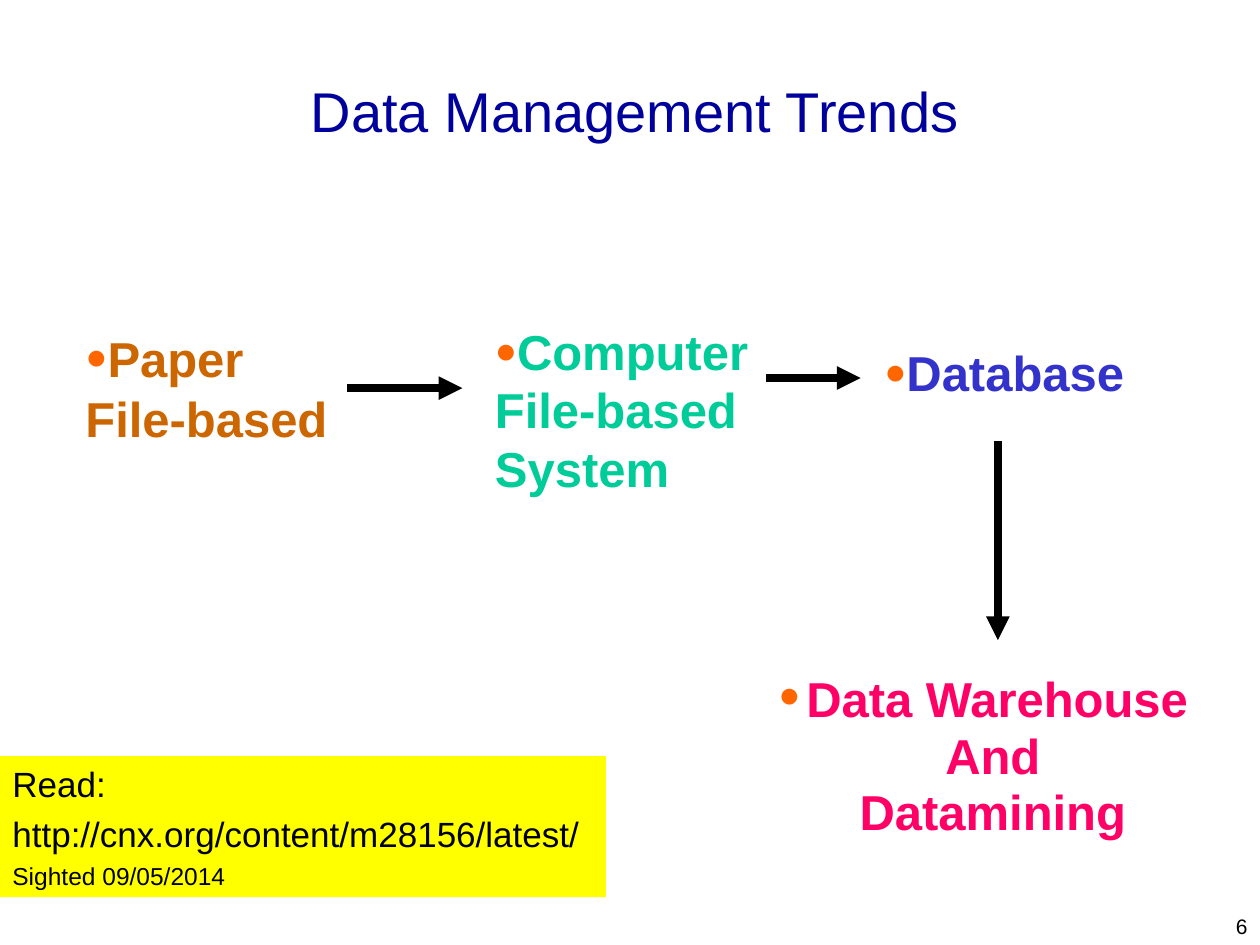
from dataclasses import dataclass

from lxml import etree
from pptx import Presentation
from pptx.dml.color import RGBColor
from pptx.enum import shapes, text
from pptx.oxml import ns
from pptx.util import Inches, Pt

LEFT, MID, RIGHT = (text.PP_ALIGN.LEFT, text.PP_ALIGN.CENTER,
                    text.PP_ALIGN.RIGHT)


@dataclass(frozen=True)
class Theme:
    font: str = "Arial"
    navy: str = "00009C"
    black: str = "000000"
    yellow: str = "FFFF00"
    orange: str = "FF6600"
    brown: str = "CC6600"
    green: str = "00CC99"
    blue: str = "3333CC"
    pink: str = "FF0066"
    title: int = 32
    stage: int = 28
    note: int = 20
    small: int = 14
    page: int = 12
    stroke: float = 4.5


def rgb(code):
    return RGBColor.from_string(code)


def child(node, tag, **attrs):
    return etree.SubElement(node, ns.qn(tag), attrs)


class Deck:
    def __init__(self, theme, slide):
        self.theme, self.slide = theme, slide

    def fill_text(self, frame, lines, color, align=LEFT, bold=False,
                  space=1.0, bullet=False):
        """Fill a frame with (words, size, space before) lines."""
        frame.word_wrap = True
        for i, (words, size, before) in enumerate(lines):
            par = frame.add_paragraph() if i else frame.paragraphs[0]
            par.text = words
            if bullet and i == 0:
                self.dot(par)
            par.alignment = align
            par.line_spacing = space
            par.space_before = Pt(before if i else 0)
            font = par.font
            font.name, font.size, font.bold = self.theme.font, Pt(size), bold
            font.color.rgb = rgb(color)

    def dot(self, par):
        props = par._p.get_or_add_pPr()
        child(child(props, "a:buClr"), "a:srgbClr", val=self.theme.orange)
        child(props, "a:buSzPct", val="75000")
        child(props, "a:buFont", typeface=self.theme.font)
        child(props, "a:buChar", char="●")

    def label(self, box, lines, color, anchor=text.MSO_ANCHOR.TOP, **style):
        frame = self.slide.shapes.add_textbox(*map(Inches, box)).text_frame
        frame.vertical_anchor = anchor
        self.fill_text(frame, lines, color, **style)

    def stage(self, box, words, color, before=0, **style):
        lines = [(word, self.theme.stage, before) for word in words]
        self.label(box, lines, color, bold=True, bullet=True, **style)

    def panel(self, box, lines, fill):
        rect = self.slide.shapes.add_shape(
            shapes.MSO_SHAPE.RECTANGLE, *map(Inches, box))
        rect.shadow.inherit = False
        rect.fill.solid()
        rect.fill.fore_color.rgb = rgb(fill)
        rect.line.fill.background()
        rect.text_frame.vertical_anchor = text.MSO_ANCHOR.TOP
        self.fill_text(rect.text_frame, lines, self.theme.black)

    def arrow(self, *ends):
        link = self.slide.shapes.add_connector(
            shapes.MSO_CONNECTOR.STRAIGHT, *map(Inches, ends))
        link.line.color.rgb = rgb(self.theme.black)
        link.line.width = Pt(self.theme.stroke)
        child(link.line._get_or_add_ln(), "a:tailEnd", type="triangle")
        child(link._element.spPr, "a:effectLst")


def main():
    show = Presentation()
    show.slide_width, show.slide_height = Inches(10), Inches(7.5)
    look = Theme()
    deck = Deck(look, show.slides.add_slide(show.slide_layouts[6]))

    # Title and page number
    deck.label((0.5, 0.33, 9.08, 1.08),
               [("Data Management Trends", look.title, 0)], look.navy,
               anchor=text.MSO_ANCHOR.MIDDLE, align=MID)
    deck.label((9.42, 7.2, 0.58, 0.3), [("6", look.page, 0)], look.black,
               align=RIGHT)

    # Stages of data management
    deck.stage((0.58, 2.67, 2.5, 0.93), ["Paper", "File-based"],
               look.brown, before=8.8, space=0.75)
    deck.stage((3.83, 2.5, 2.5, 1.5), ["Computer", "File-based", "System"],
               look.green)
    deck.stage((6.92, 2.67, 2.25, 0.57), ["Database"], look.blue)
    deck.stage((6.08, 5.42, 3.6, 1.28),
               ["Data Warehouse ", "And", "Datamining"],
               look.pink, before=12.2, space=0.6, align=MID)

    # Arrows from stage to stage
    deck.arrow(2.75, 3.08, 3.67, 3.08)
    deck.arrow(6.08, 3, 6.83, 3)
    deck.arrow(7.92, 3.5, 7.92, 5.08)

    # Reading note
    deck.panel((0, 6, 4.81, 1.12), [
        ("Read:", look.note, 5),
        ("http://cnx.org/content/m28156/latest/", look.note, 5),
        ("Sighted 09/05/2014", look.small, 3.5),
    ], look.yellow)

    show.save("out.pptx")


if __name__ == "__main__":
    main()
